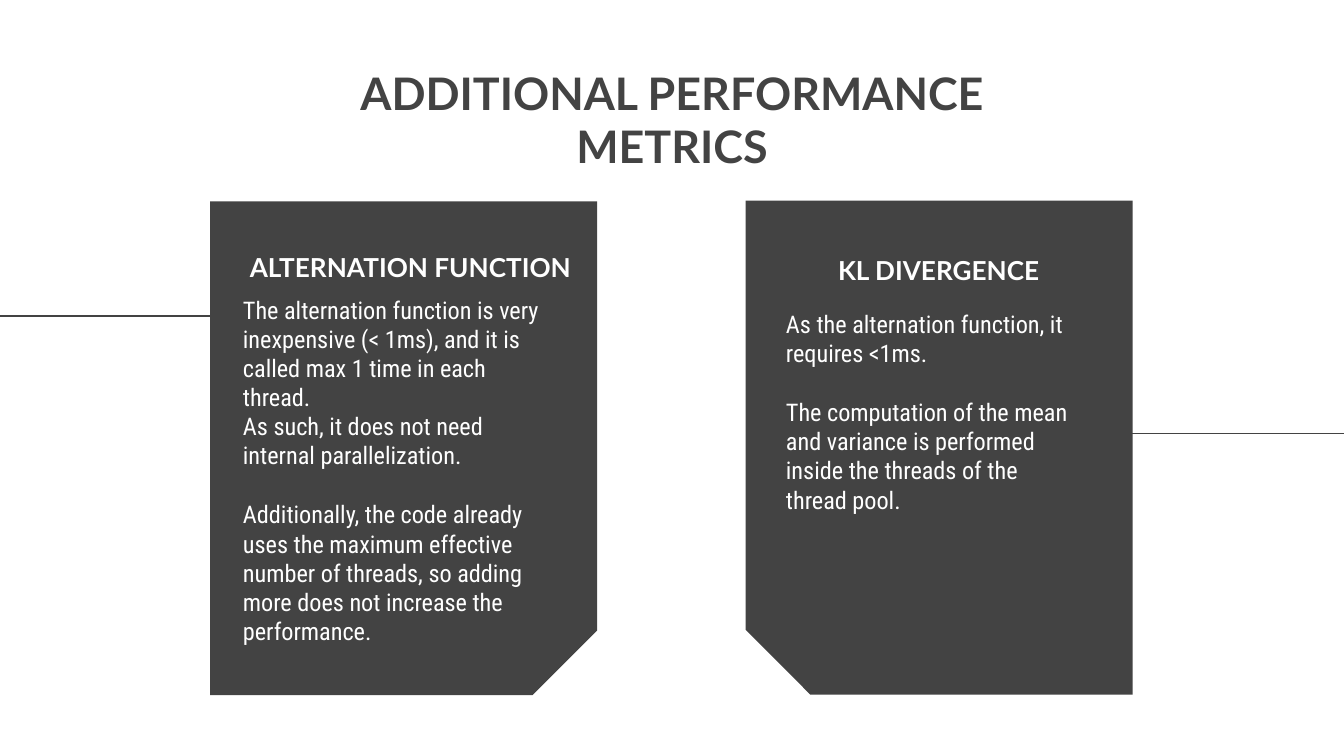
import pptx
import pptx.dml.color
import pptx.enum.shapes
import pptx.enum.text
import pptx.oxml
import pptx.util

PX = 4572
DARK = pptx.dml.color.RGBColor(0x43, 0x43, 0x43)
WHITE = pptx.dml.color.RGBColor(0xFF, 0xFF, 0xFF)
ALIGN = pptx.enum.text.PP_ALIGN
ANCHOR = pptx.enum.text.MSO_ANCHOR
HEADING_FONT = "Lato"
BODY_FONT = "Roboto Condensed"


def px(*lengths):
    """Turn whole pixels into EMU lengths."""
    return [pptx.util.Emu(length * PX) for length in lengths]


def write(frame, text, *, size, font, color, bold=False,
          align=ALIGN.LEFT, anchor=ANCHOR.TOP, gaps=()):
    """Fill a text frame, adding space before the paragraphs listed in gaps."""
    frame.text = text
    frame.word_wrap = True
    frame.auto_size = pptx.enum.text.MSO_AUTO_SIZE.NONE
    frame.vertical_anchor = anchor
    margin, = px(20)
    frame.margin_left = frame.margin_right = margin
    frame.margin_top = frame.margin_bottom = margin
    for index, paragraph in enumerate(frame.paragraphs):
        paragraph.alignment = align
        paragraph.space_before = pptx.util.Pt(16 if index in gaps else 0)
        paragraph.font.name = font
        paragraph.font.size = pptx.util.Pt(size)
        paragraph.font.bold = bold
        paragraph.font.color.rgb = color


class SlideBuilder:
    """Hold the style and the current slide."""

    def __init__(self, slide):
        """Keep the slide to draw on."""
        self.slide = slide

    def title(self, text, box):
        """Place and format the title placeholder."""
        shape = self.slide.shapes.title
        shape.left, shape.top, shape.width, shape.height = px(*box)
        write(shape.text_frame, text, size=24, font=HEADING_FONT,
              color=DARK, bold=True, align=ALIGN.CENTER)

    def card(self, left, top, mirrored=False):
        """Draw a turned card with its lower outer corner snipped."""
        shape = self.slide.shapes.add_shape(
            pptx.enum.shapes.MSO_SHAPE.SNIP_1_RECTANGLE,
            *px(left, top, 735, 576))
        shape.adjustments[0] = 0.167
        shape.rotation = 270 if mirrored else 90
        if mirrored:
            shape.element.spPr.xfrm.set("flipH", "1")
        shape.shadow.inherit = False
        shape.fill.solid()
        shape.fill.fore_color.rgb = DARK
        shape.line.fill.background()

    def rule(self, start, end, y):
        """Draw a thin horizontal line."""
        line = self.slide.shapes.add_connector(
            pptx.enum.shapes.MSO_CONNECTOR.STRAIGHT, *px(start, y, end, y))
        line.line.color.rgb = DARK
        line.line.width = pptx.util.Pt(0.75)
        line.element.spPr.append(
            pptx.oxml.parse_xml(
                '<a:effectLst xmlns:a="http://schemas.openxmlformats.org/'
                'drawingml/2006/main"/>'))

    def heading(self, text, box, align):
        """Add a card heading."""
        shape = self.slide.shapes.add_textbox(*px(*box))
        write(shape.text_frame, text, size=14, font=HEADING_FONT,
              color=WHITE, bold=True, align=align, anchor=ANCHOR.BOTTOM)

    def body(self, paragraphs, box, gaps):
        """Add the running text of a card."""
        shape = self.slide.shapes.add_textbox(*px(*box))
        write(shape.text_frame, "\n".join(paragraphs), size=13,
              font=BODY_FONT, color=WHITE, gaps=gaps)


def main():
    """Build and save the slide."""
    presentation = pptx.Presentation()
    presentation.slide_width, presentation.slide_height = px(2000, 1125)
    slide = presentation.slides.add_slide(presentation.slide_layouts[5])
    builder = SlideBuilder(slide)
    builder.card(1030, 378, mirrored=True)
    builder.rule(2000, 1462, 645)
    builder.card(233, 379)
    builder.rule(530, 0, 470)
    builder.title("ADDITIONAL PERFORMANCE METRICS", (430, 77, 1140, 206))
    builder.heading("ALTERNATION FUNCTION", (352, 347, 544, 94), ALIGN.LEFT)
    builder.heading("KL DIVERGENCE", (1202, 352, 390, 94), ALIGN.CENTER)
    builder.body([
        "As the alternation function, it requires <1ms.",
        "The computation of the mean and variance is performed inside the "
        "threads of the thread pool.",
    ], (1150, 440, 472, 422), gaps=(1,))
    builder.body([
        "The alternation function is very inexpensive (< 1ms), and it is "
        "called max 1 time in each thread.",
        "As such, it does not need internal parallelization.",
        "Additionally, the code already uses the maximum effective number "
        "of threads, so adding more does not increase the performance.",
    ], (342, 419, 486, 466), gaps=(2,))
    presentation.save("out.pptx")


if __name__ == "__main__":
    main()
